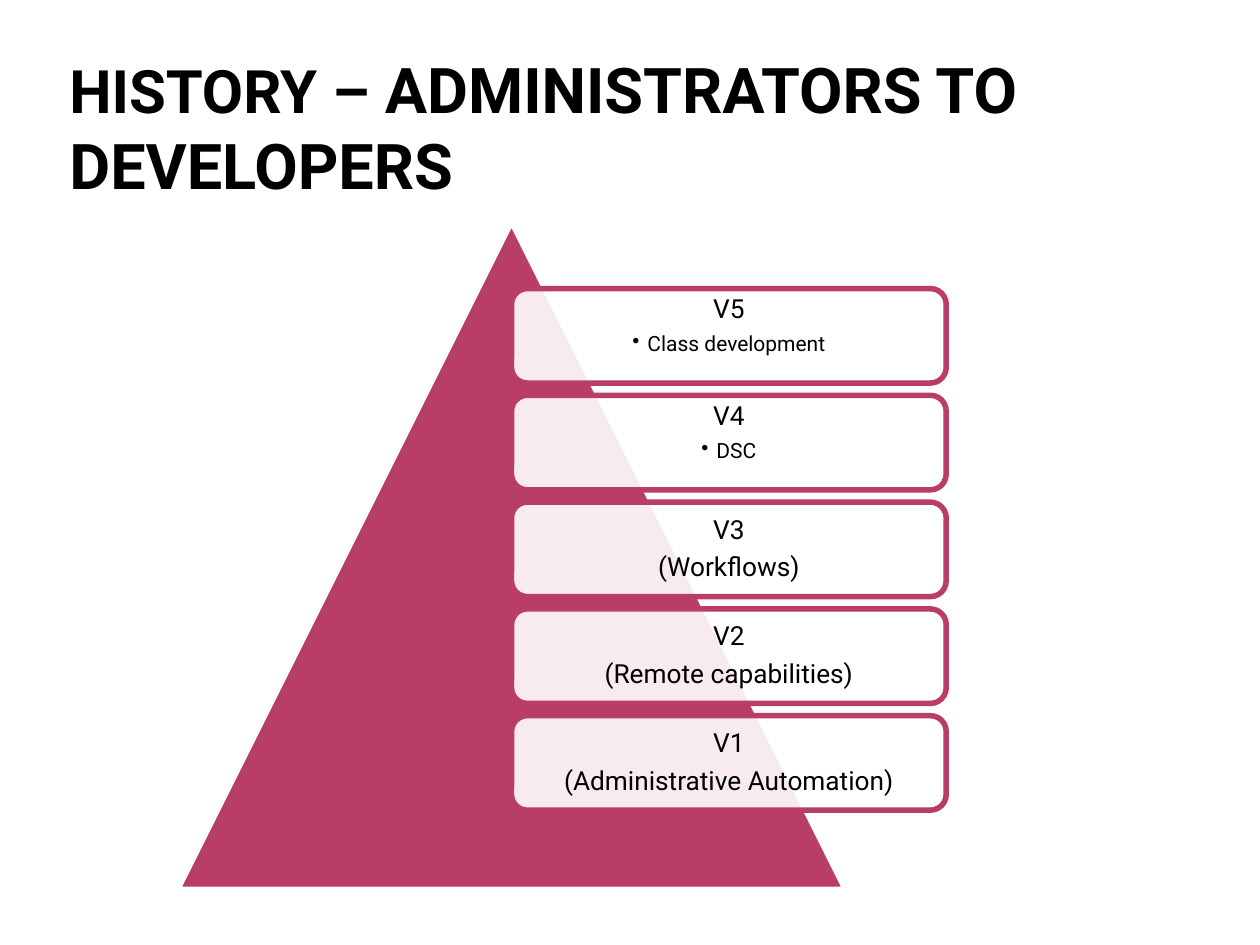
from lxml import etree
from pptx import Presentation
from pptx.dml.color import RGBColor
from pptx.enum.shapes import MSO_SHAPE
from pptx.enum.text import MSO_ANCHOR, PP_ALIGN
from pptx.oxml.ns import qn
from pptx.util import Inches, Pt

TRIANGLE, ROUNDED = MSO_SHAPE.ISOSCELES_TRIANGLE, MSO_SHAPE.ROUNDED_RECTANGLE
TOP, MIDDLE, BOTTOM = MSO_ANCHOR.TOP, MSO_ANCHOR.MIDDLE, MSO_ANCHOR.BOTTOM
CENTER = PP_ALIGN.CENTER

# Content
TITLE = [("HISTORY – ", 34.2), ("ADMINISTRATORS TO DEVELOPERS", 36)]
VERSIONS = [  # version, detail, detail is a bullet
    ("V5", "Class development", True),
    ("V4", "DSC", True),
    ("V3", "(Workflows)", False),
    ("V2", "(Remote capabilities)", False),
    ("V1", "(Administrative Automation)", False),
]

THEME = {
    "font": "Roboto",
    "text": RGBColor(0x00, 0x00, 0x00),
    "accent": RGBColor(0xB8, 0x3D, 0x68),
    "paper": RGBColor(0xFF, 0xFF, 0xFF),
    "paper_alpha": 90,
    "line": 3.15,
    "body_size": 15,
    "bullet_size": 12,
}

# Layout, in inches
TITLE_AREA = (0.5, 0.35, 7.92, 1.25)
PYRAMID_AREA = (1.41, 1.76, 5.3, 5.3)
BOX_LEFT, BOX_TOP, BOX_WIDTH, BOX_HEIGHT = 4.06, 2.29, 3.45, 0.75
BOX_PITCH = 0.8475
BOX_INSET = 0.02
BULLET_INDENT = 0.12


def style_span(span, size, bold=False):
    span.font.name = THEME["font"]
    span.font.size = Pt(size)
    span.font.bold = bold
    span.font.color.rgb = THEME["text"]


def set_insets(frame, side, vertical):
    frame.margin_left = frame.margin_right = Inches(side)
    frame.margin_top = frame.margin_bottom = Inches(vertical)


def add_outlined(page, kind, area, fill, line):
    shape = page.shapes.add_shape(kind, *map(Inches, area))
    shape.shadow.inherit = False
    shape.fill.solid()
    shape.fill.fore_color.rgb = fill
    shape.line.color.rgb = line
    shape.line.width = Pt(THEME["line"])
    return shape


def set_alpha(shape, percent):
    color = shape.fill._xPr.find(qn("a:solidFill"))[0]
    etree.SubElement(color, qn("a:alpha"), val=str(percent * 1000))


def add_bullet(para):
    properties = para._p.get_or_add_pPr()
    properties.set("marL", str(Inches(BULLET_INDENT)))
    properties.set("indent", str(-Inches(BULLET_INDENT)))
    etree.SubElement(properties, qn("a:buChar"), char="•")


def add_title(page):
    box = page.shapes.add_textbox(*map(Inches, TITLE_AREA))
    frame = box.text_frame
    frame.word_wrap = True
    frame.vertical_anchor = BOTTOM
    set_insets(frame, 0.05, 0)
    for text, size in TITLE:
        span = frame.paragraphs[0].add_run()
        span.text = text
        style_span(span, size, bold=True)


def add_version(page, row, version, detail, bulleted):
    area = (BOX_LEFT, BOX_TOP + row * BOX_PITCH, BOX_WIDTH, BOX_HEIGHT)
    box = add_outlined(page, ROUNDED, area, THEME["paper"], THEME["accent"])
    set_alpha(box, THEME["paper_alpha"])
    frame = box.text_frame
    frame.word_wrap = True
    frame.vertical_anchor = TOP if bulleted else MIDDLE
    set_insets(frame, BOX_INSET, BOX_INSET)
    frame.text = f"{version}\n{detail}"
    detail_style = (THEME["bullet_size"], 0.15) if bulleted else (THEME["body_size"], 0.35)
    styles = [(THEME["body_size"], 0.35), detail_style]
    for para, (size, gap) in zip(frame.paragraphs, styles):
        para.alignment = CENTER
        para.line_spacing = 0.9
        para.space_after = Pt(size * gap)
        style_span(para.runs[0], size)
    if bulleted:
        frame.paragraphs[1].level = 1
        add_bullet(frame.paragraphs[1])


def main():
    deck = Presentation()
    deck.slide_width, deck.slide_height = Inches(10), Inches(7.5)
    page = deck.slides.add_slide(deck.slide_layouts[6])

    add_title(page)
    # Pyramid behind the version boxes
    add_outlined(page, TRIANGLE, PYRAMID_AREA, THEME["accent"], THEME["paper"])
    for row, entry in enumerate(VERSIONS):
        add_version(page, row, *entry)

    deck.save("out.pptx")


if __name__ == "__main__":
    main()
